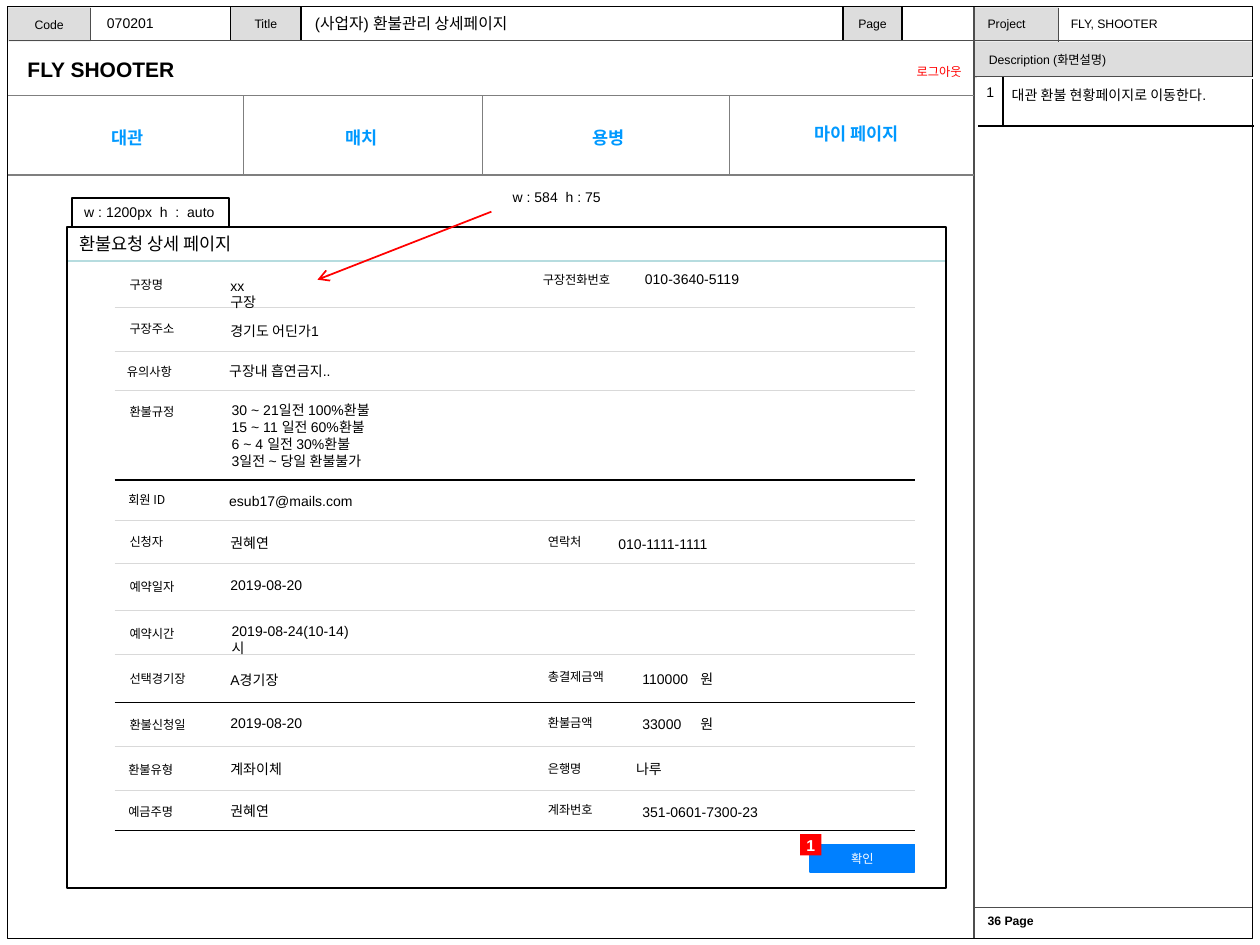
"""Build the storyboard slide of the refund detail page."""
from lxml.etree import SubElement
from pptx import Presentation
from pptx.dml.color import RGBColor
from pptx.enum.shapes import MSO_CONNECTOR, MSO_SHAPE
from pptx.enum.text import MSO_ANCHOR, MSO_AUTO_SIZE, PP_ALIGN
from pptx.oxml.ns import qn
from pptx.util import Inches, Pt

BLACK = RGBColor(0, 0, 0)
WHITE = RGBColor(255, 255, 255)
RED = RGBColor(255, 0, 0)
PANEL = RGBColor(0xDD, 0xDD, 0xDD)
FRAME_GREY = RGBColor(0x4D, 0x4D, 0x4D)
MENU_GREY = RGBColor(0x7F, 0x7F, 0x7F)
ROW_GREY = RGBColor(0xD9, 0xD9, 0xD9)
TEAL = RGBColor(0xB6, 0xDC, 0xDF)
MENU_BLUE = RGBColor(0x00, 0x99, 0xFF)
BUTTON_BLUE = RGBColor(0x00, 0x80, 0xFF)
LATIN, KOREAN = "Arial", "Noto Sans CJK KR"

HEADER_PANELS = [
    ("Code", 0.06, 0.06, 0.66, None),
    ("Title", 1.83, 0.05, 0.56, BLACK),
    ("Page", 6.69, 0.05, 0.47, BLACK),
]
FRAME_LINES = [
    (7.73, 0.05, 7.73, 7.45), (0.07, 0.32, 9.94, 0.32),
    (8.4, 0.06, 8.4, 0.33), (7.74, 7.2, 9.94, 7.2),
    (7.74, 0.61, 9.94, 0.61), (0.72, 0.06, 0.72, 0.32),
]
MENU_LINES = [(0.06, 0.76, 7.73, 0.76), (0.06, 1.39, 7.73, 1.39)] + [
    (x, 0.76, x, 1.39) for x in (1.93, 3.83, 5.79)]
MENU = [("대관", 0.08, 0.96), ("매치", 1.94, 0.96),
        ("용병", 3.9, 0.96), ("마이 페이지", 5.87, 0.93)]

LABELS = [
    ("구장명", 0.93, 2.15), ("구장주소", 0.93, 2.5), ("유의사항", 0.91, 2.84),
    ("환불규정", 0.93, 3.16), ("회원 ID", 0.92, 3.86), ("신청자", 0.93, 4.19),
    ("예약일자", 0.93, 4.55), ("예약시간", 0.93, 4.92),
    ("선택경기장", 0.93, 5.28), ("환불신청일", 0.93, 5.64),
    ("환불유형", 0.92, 6.0), ("예금주명", 0.92, 6.33),
    ("구장전화번호", 4.21, 2.11), ("연락처", 4.25, 4.19),
    ("총결제금액", 4.25, 5.26), ("환불금액", 4.25, 5.63),
    ("은행명", 4.25, 5.99), ("계좌번호", 4.25, 6.32),
]
VALUES = [
    ("경기도 어딘가1", 1.73, 2.51, 0.97), ("구장내 흡연금지..", 1.72, 2.83, 1.08),
    ("esub17@mails.com", 1.72, 3.86, 1.21), ("권혜연", 1.73, 4.19, 0.54),
    ("2019-08-20", 1.73, 4.53, 0.78), ("A경기장", 1.73, 5.28, 0.61),
    ("2019-08-20", 1.73, 5.62, 0.78), ("계좌이체", 1.73, 5.99, 0.65),
    ("권혜연", 1.73, 6.32, 0.54), ("010-3640-5119", 5.02, 2.1, 0.97),
    ("010-1111-1111", 4.81, 4.2, 0.97), ("나루", 4.95, 5.99, 0.42),
    ("351-0601-7300-23", 5.0, 6.33, 1.13), ("w : 584  h : 75", 3.97, 1.45, 0.91),
    ("w : 1200px  h  :  auto", 0.57, 1.57, 1.25),
]
WRAPPED_VALUES = [("xx구장", 1.73, 2.15, 0.5), ("2019-08-24(10-14)시", 1.74, 4.89, 1.2)]
AMOUNTS = [("110000\t원", 5.27), ("33000\t원", 5.63)]
REFUND_RULES = ("30 ~ 21일전 100%환불\n15 ~ 11 일전 60%환불\n"
                "6 ~ 4 일전 30%환불\n3일전 ~ 당일 환불불가")
ROW_RULES = [
    (2.44, ROW_GREY, 0.25), (2.79, ROW_GREY, 0.25), (3.1, ROW_GREY, 0.25),
    (3.81, BLACK, 1), (4.13, ROW_GREY, 0.25), (4.47, ROW_GREY, 0.25),
    (4.84, ROW_GREY, 0.25), (5.19, ROW_GREY, 0.25), (5.57, BLACK, 0.25),
    (5.92, ROW_GREY, 0.25), (6.27, ROW_GREY, 0.25), (6.59, BLACK, 0.25),
]


def style_text(frame, text, size, color=BLACK, font=LATIN, bold=False, align=PP_ALIGN.LEFT):
    """Fill a text frame and format its paragraphs."""
    frame.text = text
    for para in frame.paragraphs:
        para.alignment = align
        para.font.size = Pt(size)
        para.font.name = font
        para.font.bold = bold
        para.font.color.rgb = color


def add_text(page, text, left, top, width, height, size, wrap=True, middle=False, **style):
    """Add a text box; an unwrapped one fits its text."""
    box = page.shapes.add_textbox(Inches(left), Inches(top), Inches(width), Inches(height))
    frame = box.text_frame
    frame.word_wrap = wrap
    frame.auto_size = MSO_AUTO_SIZE.NONE if wrap else MSO_AUTO_SIZE.SHAPE_TO_FIT_TEXT
    frame.vertical_anchor = MSO_ANCHOR.MIDDLE if middle else MSO_ANCHOR.TOP
    style_text(frame, text, size, **style)
    return box


def add_box(page, left, top, width, height, fill=None, line=None, weight=0.75):
    """Add a rectangle with an optional fill and outline."""
    box = page.shapes.add_shape(
        MSO_SHAPE.RECTANGLE, Inches(left), Inches(top), Inches(width), Inches(height))
    box.shadow.inherit = False
    if fill is None:
        box.fill.background()
    else:
        box.fill.solid()
        box.fill.fore_color.rgb = fill
    if line is None:
        box.line.fill.background()
    else:
        box.line.color.rgb = line
        box.line.width = Pt(weight)
    return box


def add_label_box(page, text, box, size, **style):
    """Centre a text inside a rectangle."""
    frame = box.text_frame
    frame.margin_left = frame.margin_right = frame.margin_top = frame.margin_bottom = 0
    frame.vertical_anchor = MSO_ANCHOR.MIDDLE
    style_text(frame, text, size, align=PP_ALIGN.CENTER, **style)


def add_line(page, x1, y1, x2, y2, color, weight=0.75, arrow=False):
    """Add a straight line, with an arrowhead at its end if asked."""
    line = page.shapes.add_connector(
        MSO_CONNECTOR.STRAIGHT, Inches(x1), Inches(y1), Inches(x2), Inches(y2))
    line.line.color.rgb = color
    line.line.width = Pt(weight)
    if arrow:
        SubElement(line.line._get_or_add_ln(), qn("a:tailEnd"), type="arrow")
    SubElement(line._element.spPr, qn("a:effectLst"))


def add_border(cell, side):
    """Draw one black border of a table cell."""
    border = SubElement(cell._tc.get_or_add_tcPr(), qn(f"a:ln{side}"), w=str(Pt(0.75)))
    fill = SubElement(border, qn("a:solidFill"))
    SubElement(fill, qn("a:srgbClr"), val=str(BLACK))


def add_description_table(page):
    """Add the numbered description in the side panel."""
    table = page.shapes.add_table(
        1, 2, Inches(7.76), Inches(0.62), Inches(2.2), Inches(0.38)).table
    table.first_row = table.horz_banding = False
    columns = [("1", 0.2, 0.04, "RB", PP_ALIGN.CENTER),
               ("대관 환불 현황페이지로 이동한다.", 2.0, 0.07, "LB", PP_ALIGN.LEFT)]
    for index, (text, width, margin, sides, align) in enumerate(columns):
        table.columns[index].width = Inches(width)
        cell = table.cell(0, index)
        cell.margin_left = cell.margin_right = Inches(margin)
        for side in sides:
            add_border(cell, side)
        cell.fill.background()
        style_text(cell.text_frame, text, 8, align=align)


def add_frame(page):
    """Add the storyboard frame with its header and side panel."""
    add_box(page, 7.73, 0.33, 2.21, 0.29, PANEL)
    add_box(page, 7.73, 0.06, 0.67, 0.27, PANEL)
    for text, left, top, width, line in HEADER_PANELS:
        panel = add_box(page, left, top, width, 0.27, PANEL, line)
        add_label_box(page, text, panel, 7)
    for ends in FRAME_LINES:
        add_line(page, *ends, FRAME_GREY)
    add_box(page, 0.06, 0.05, 9.88, 7.4, line=BLACK)
    add_text(page, "Description (화면설명)", 7.75, 0.33, 2.19, 0.29, 7, middle=True)
    add_text(page, "Project", 7.74, 0.08, 0.66, 0.24, 7)
    add_text(page, "FLY, SHOOTER", 8.4, 0.08, 1.5, 0.24, 7)
    add_text(page, "36 Page", 7.74, 7.2, 2.14, 0.24, 7, bold=True)
    add_text(page, "070201", 0.75, 0.05, 1.02, 0.26, 8, middle=True)
    add_text(page, "(사업자) 환불관리 상세페이지", 2.4, 0.06, 4.25, 0.25, 9, middle=True)
    add_description_table(page)


def add_site_menu(page):
    """Add the site name, the logout link and the menu."""
    add_text(page, "FLY SHOOTER", 0.12, 0.4, 6.23, 0.3, 12, middle=True, bold=True)
    add_text(page, "로그아웃", 6.65, 0.46, 1.08, 0.22, 7, color=RED, align=PP_ALIGN.RIGHT)
    for ends in MENU_LINES:
        add_line(page, *ends, MENU_GREY)
    for text, left, top in MENU:
        add_text(page, text, left, top, 1.86, 0.27, 10,
                 color=MENU_BLUE, bold=True, align=PP_ALIGN.CENTER)


def add_refund_form(page):
    """Add the refund detail form."""
    for y, color, weight in ROW_RULES:
        add_line(page, 0.91, y, 7.26, y, color, weight)
    add_line(page, 0.53, 2.07, 7.52, 2.07, TEAL, 1.25)
    add_text(page, "환불요청 상세 페이지", 0.53, 1.8, 1.54, 0.27, 10, wrap=False)
    for text, left, top in LABELS:
        add_text(page, text, left, top, 0.2 + 0.1 * len(text), 0.22, 7, wrap=False, font=KOREAN)
    for text, left, top, width in VALUES:
        add_text(page, text, left, top, width, 0.24, 8, wrap=False)
    for text, left, top, width in WRAPPED_VALUES:
        add_text(page, text, left, top, width, 0.38, 8)
    add_text(page, REFUND_RULES, 1.74, 3.14, 1.38, 0.64, 8, wrap=False)
    for text, top in AMOUNTS:
        box = add_text(page, text, 5.0, top, 0.9, 0.24, 8)
        stops = SubElement(box.text_frame.paragraphs[0]._p.get_or_add_pPr(), qn("a:tabLst"))
        stops.getparent().insert(0, stops)
        SubElement(stops, qn("a:tab"), pos=str(Inches(0.46)), algn="l")
    add_box(page, 0.57, 1.57, 1.25, 0.23, line=BLACK, weight=1)
    add_box(page, 0.53, 1.8, 6.98, 5.25, line=BLACK, weight=1)
    add_line(page, 3.9, 1.68, 2.52, 2.22, RED, 1, arrow=True)
    button = add_box(page, 6.43, 6.7, 0.83, 0.22, BUTTON_BLUE, BUTTON_BLUE)
    add_label_box(page, "확인", button, 7, color=WHITE, font=KOREAN)
    badge = add_box(page, 6.35, 6.62, 0.17, 0.17, RED)
    add_label_box(page, "1", badge, 9, color=WHITE, bold=True)


def main():
    """Build and save the slide."""
    deck = Presentation()
    deck.slide_width, deck.slide_height = Inches(10), Inches(7.5)
    page = deck.slides.add_slide(deck.slide_layouts[6])
    add_frame(page)
    add_site_menu(page)
    add_refund_form(page)
    deck.save("out.pptx")


if __name__ == "__main__":
    main()
